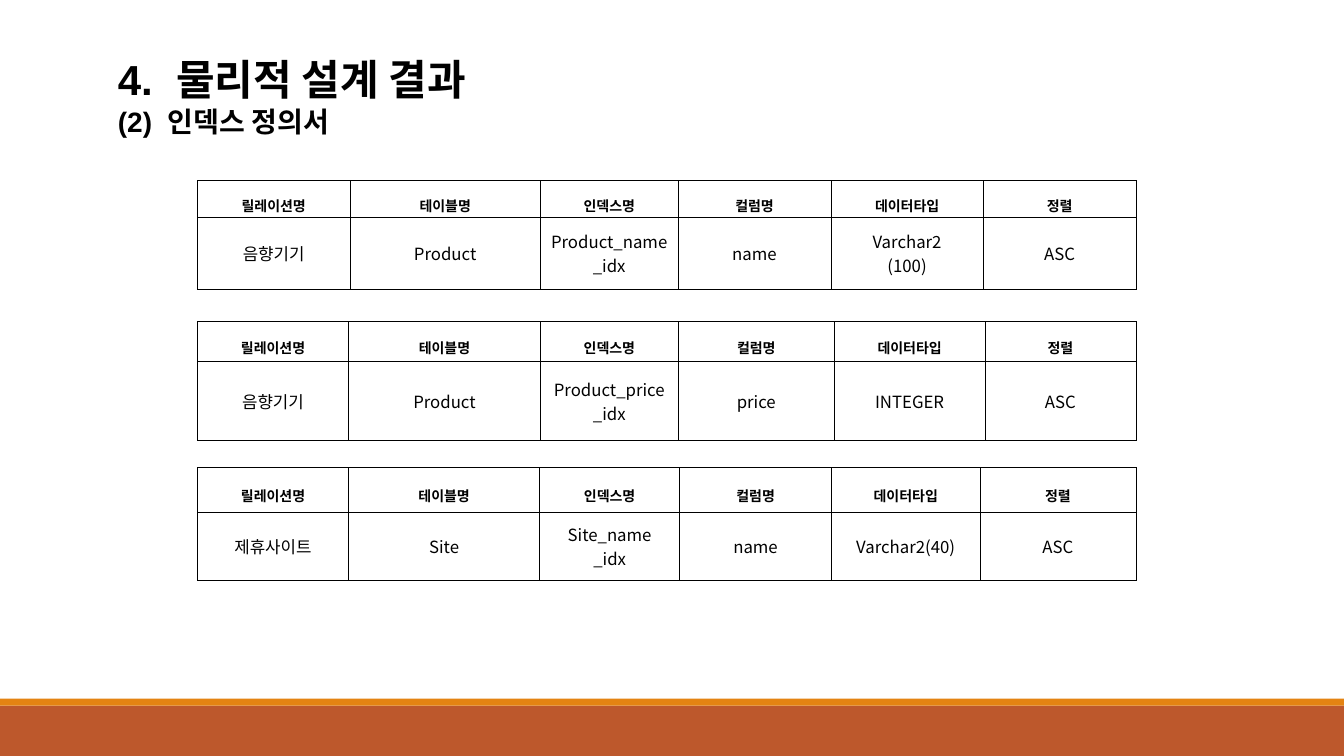
import pptx
import pptx.dml.color
import pptx.enum.shapes
import pptx.enum.text
import pptx.oxml
import pptx.oxml.ns
import pptx.util

Pt = pptx.util.Pt
Align = pptx.enum.text.PP_ALIGN
Anchor = pptx.enum.text.MSO_ANCHOR
COLORS = {"ink": "000000", "band": "BD582C", "stripe": "E48312"}
FONTS = {"latin": "Arial", "korean": "Noto Sans CJK KR"}

HEADS = ["릴레이션명", "테이블명", "인덱스명", "컬럼명", "데이터타입", "정렬"]
LEFT = 141
# Each index table: top, column widths, row heights, body row
TABLES = [
    (128.9, [109, 136, 98.5, 109, 109, 109], [26.4, 51.4],
     ["음향기기", "Product", "Product_name\n_idx", "name", "Varchar2\n(100)", "ASC"]),
    (229.7, [108, 137, 98.5, 111.5, 107.5, 108], [28.5, 56.5],
     ["음향기기", "Product", "Product_price\n_idx", "price", "INTEGER", "ASC"]),
    (333.7, [108, 136.5, 100, 108.5, 106, 111.5], [32.2, 48.8],
     ["제휴사이트", "Site", "Site_name\n_idx", "name", "Varchar2(40)", "ASC"]),
]


class Deck:
    """Holds the colours, the fonts and the current slide."""

    def __init__(self, show):
        self.slide = show.slides.add_slide(show.slide_layouts[5])

    def color(self, name):
        return pptx.dml.color.RGBColor.from_string(COLORS[name])

    def style(self, run, size, bold, latin):
        run.font.size = Pt(size)
        run.font.bold = bold
        run.font.color.rgb = self.color("ink")
        run.font.name = FONTS[latin]
        east = pptx.oxml.parse_xml(
            f'<a:ea {pptx.oxml.ns.nsdecls("a")} typeface="{FONTS["korean"]}"/>')
        run.font._element.append(east)

    def bar(self, top, height, color):
        shape = self.slide.shapes.add_shape(
            pptx.enum.shapes.MSO_SHAPE.RECTANGLE, 0, Pt(top), Pt(960), Pt(height))
        shape.shadow.inherit = False
        shape.fill.solid()
        shape.fill.fore_color.rgb = self.color(color)
        shape.line.fill.background()

    def title(self, lines):
        """Fill the title with (mark, words, size) lines and a wide gap after each mark."""
        title = self.slide.shapes.title
        title.left, title.top, title.width, title.height = map(Pt, (77, 34.6, 348.5, 67.7))
        frame = title.text_frame
        frame.word_wrap = True
        frame.auto_size = pptx.enum.text.MSO_AUTO_SIZE.SHAPE_TO_FIT_TEXT
        frame.vertical_anchor = Anchor.MIDDLE
        frame.text = "\n".join(mark for mark, words, size in lines)
        for para, (mark, words, size) in zip(frame.paragraphs, lines):
            para.alignment = Align.LEFT
            para.line_spacing = 1.0
            para.space_before = Pt(0)
            gap, tail = para.add_run(), para.add_run()
            gap.text, tail.text = " ", words
            for run in para.runs:
                self.style(run, size, True, "latin")
            gap.font._element.set("spc", str(size * 28))

    def border(self, cell):
        props = cell._tc.get_or_add_tcPr()
        for spot, side in enumerate("LRTB"):
            props.insert(spot, pptx.oxml.parse_xml(
                f'<a:ln{side} {pptx.oxml.ns.nsdecls("a")} w="{Pt(0.28)}">'
                f'<a:solidFill><a:srgbClr val="{COLORS["ink"]}"/></a:solidFill>'
                f'</a:ln{side}>'))

    def cell(self, cell, text, head):
        cell.text_frame.text = text
        cell.vertical_anchor = Anchor.MIDDLE
        cell.fill.background()
        self.border(cell)
        if head:
            cell.margin_left = cell.margin_right = Pt(5)
            cell.margin_top = cell.margin_bottom = Pt(1.4)
        for para in cell.text_frame.paragraphs:
            para.alignment = Align.CENTER
            if head:
                para.line_spacing = 1.6
            for run in para.runs:
                self.style(run, 10 if head else 12, head, "korean")

    def table(self, top, widths, heights, body):
        grid = self.slide.shapes.add_table(
            2, len(HEADS), Pt(LEFT), Pt(top), Pt(sum(widths)), Pt(sum(heights))).table
        grid.first_row = grid.horz_banding = False
        for column, width in zip(grid.columns, widths):
            column.width = Pt(width)
        for row, height, texts in zip(grid.rows, heights, (HEADS, body)):
            row.height = Pt(height)
            for cell, text in zip(row.cells, texts):
                self.cell(cell, text, texts is HEADS)


def main():
    show = pptx.Presentation()
    show.slide_width, show.slide_height = Pt(960), Pt(540)
    deck = Deck(show)
    deck.bar(504, 36, "band")
    deck.bar(499, 5, "stripe")
    deck.title([("4.", "물리적 설계 결과", 30), ("(2)", "인덱스 정의서", 20)])
    for table in TABLES:
        deck.table(*table)
    show.save("out.pptx")


if __name__ == "__main__":
    main()
